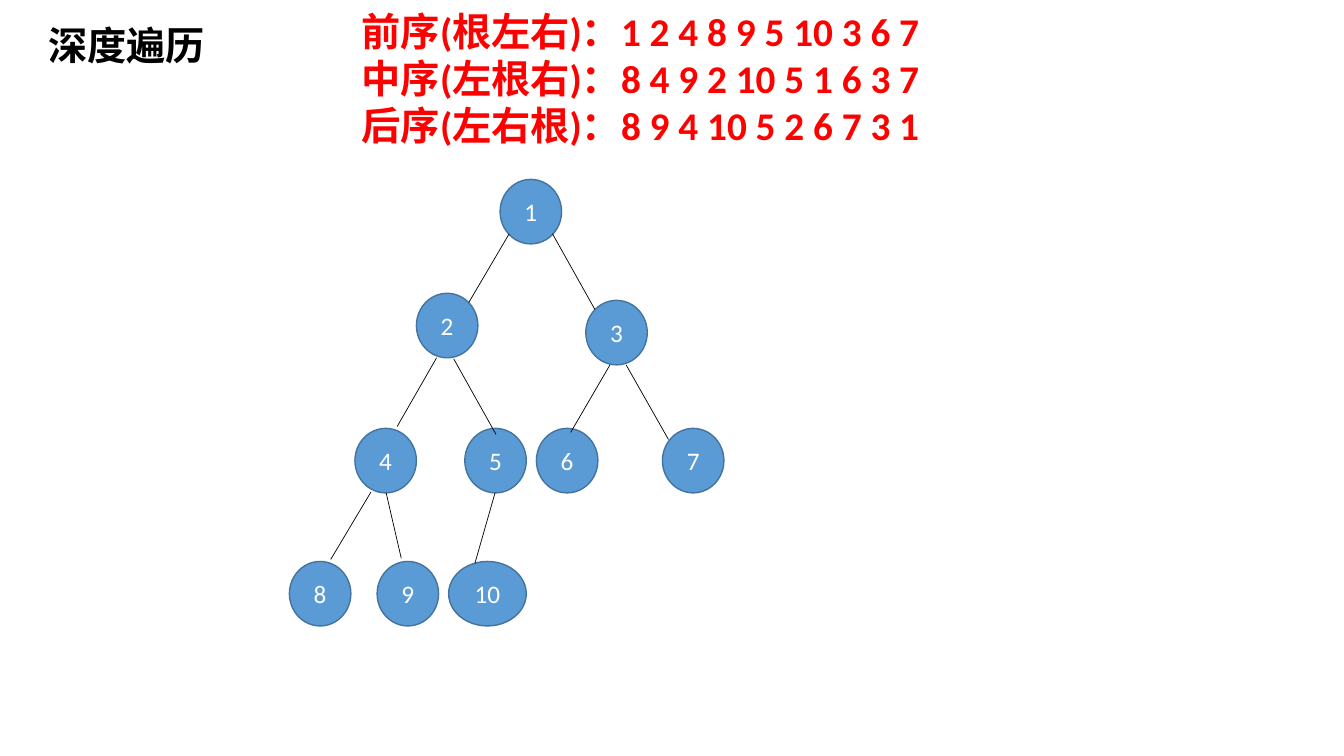
from typing import NamedTuple

from lxml import etree
from pptx import Presentation
from pptx import util as u
from pptx.dml.color import RGBColor
from pptx.enum import shapes, text
from pptx.oxml import ns

NODE_HEIGHT = 0.64


class Node(NamedTuple):
    label: str
    left: float
    top: float
    width: float = 0.61


class Edge(NamedTuple):
    x1: float
    y1: float
    x2: float
    y2: float


class Label(NamedTuple):
    lines: list[str]
    left: float
    top: float
    width: float
    height: float
    color: str
    wrap: bool


NODES = [
    Node("1", 4.96, 1.78),
    Node("2", 4.13, 2.91),
    Node("3", 5.81, 2.98),
    Node("4", 3.52, 4.25),
    Node("5", 4.61, 4.25),
    Node("6", 5.32, 4.25),
    Node("7", 6.57, 4.25),
    Node("8", 2.87, 5.57),
    Node("9", 3.74, 5.57),
    Node("10", 4.45, 5.57, 0.77),
]

EDGES = [
    Edge(4.65, 3, 5.05, 2.32),
    Edge(5.9, 3.07, 5.48, 2.32),
    Edge(3.94, 4.23, 4.33, 3.55),
    Edge(4.92, 4.31, 4.5, 3.56),
    Edge(5.66, 4.29, 6.05, 3.62),
    Edge(6.63, 4.36, 6.21, 3.62),
    Edge(3.28, 5.55, 3.68, 4.88),
    Edge(3.98, 5.54, 3.83, 4.89),
    Edge(4.71, 5.59, 4.91, 4.89),
]

TRAVERSALS = [
    "前序(根左右)：1 2 4 8 9 5 10 3 6 7",
    "中序(左根右)：8 4 9 2 10 5 1 6 3 7",
    "后序(左右根)：8 9 4 10 5 2 6 7 3 1",
]

LABELS = [
    Label(["深度遍历"], 0.38, 0.16, 1.78, 0.57, "000000", False),
    Label(TRAVERSALS, 3.49, 0.02, 6.93, 1.51, "FF0000", True),
]


def rgb(value: str) -> RGBColor:
    return RGBColor.from_string(value)


def add_run(p, content: str, size: float, color: str, bold: bool = False) -> None:
    r = p.add_run()
    r.text = content
    formats = {"name": "Calibri", "size": u.Pt(size), "bold": bold}
    for name, value in formats.items():
        setattr(r.font, name, value)
    r.font.color.rgb = rgb(color)


def add_node(s, node: Node) -> None:
    sp = s.shapes.add_shape(
        shapes.MSO_SHAPE.OVAL,
        *map(u.Inches, (node.left, node.top, node.width, NODE_HEIGHT)),
    )
    sp.shadow.inherit = False
    sp.fill.solid()
    sp.fill.fore_color.rgb = rgb("5B9BD5")
    sp.line.color.rgb = rgb("43739E")
    sp.line.width = u.Pt(1)
    tf = sp.text_frame
    formats = {
        "vertical_anchor": text.MSO_ANCHOR.MIDDLE,
        "word_wrap": False,
    }
    for name, value in formats.items():
        setattr(tf, name, value)
    p = tf.paragraphs[0]
    p.alignment = text.PP_ALIGN.CENTER
    add_run(p, node.label, 18, "FFFFFF")


def add_edge(s, edge: Edge) -> None:
    line = s.shapes.add_connector(
        shapes.MSO_CONNECTOR.STRAIGHT, *map(u.Inches, edge)
    )
    line.line.color.rgb = rgb("000000")
    line.line.width = u.Pt(0.5)
    etree.SubElement(line._element.spPr, ns.qn("a:effectLst"))


def add_label(s, label: Label) -> None:
    sp = s.shapes.add_textbox(
        *map(u.Inches, (label.left, label.top, label.width, label.height))
    )
    tf = sp.text_frame
    formats = {
        "word_wrap": label.wrap,
        "auto_size": text.MSO_AUTO_SIZE.SHAPE_TO_FIT_TEXT,
    }
    for name, value in formats.items():
        setattr(tf, name, value)
    for i, content in enumerate(label.lines):
        p = tf.add_paragraph() if i else tf.paragraphs[0]
        add_run(p, content, 28, label.color, bold=True)


def main() -> None:
    prs = Presentation()
    prs.slide_width = u.Inches(13.33)
    prs.slide_height = u.Inches(7.5)
    s = prs.slides.add_slide(prs.slide_layouts[6])
    for node in NODES:
        add_node(s, node)
    for edge in EDGES:
        add_edge(s, edge)
    for label in LABELS:
        add_label(s, label)
    prs.save("out.pptx")


if __name__ == "__main__":
    main()
